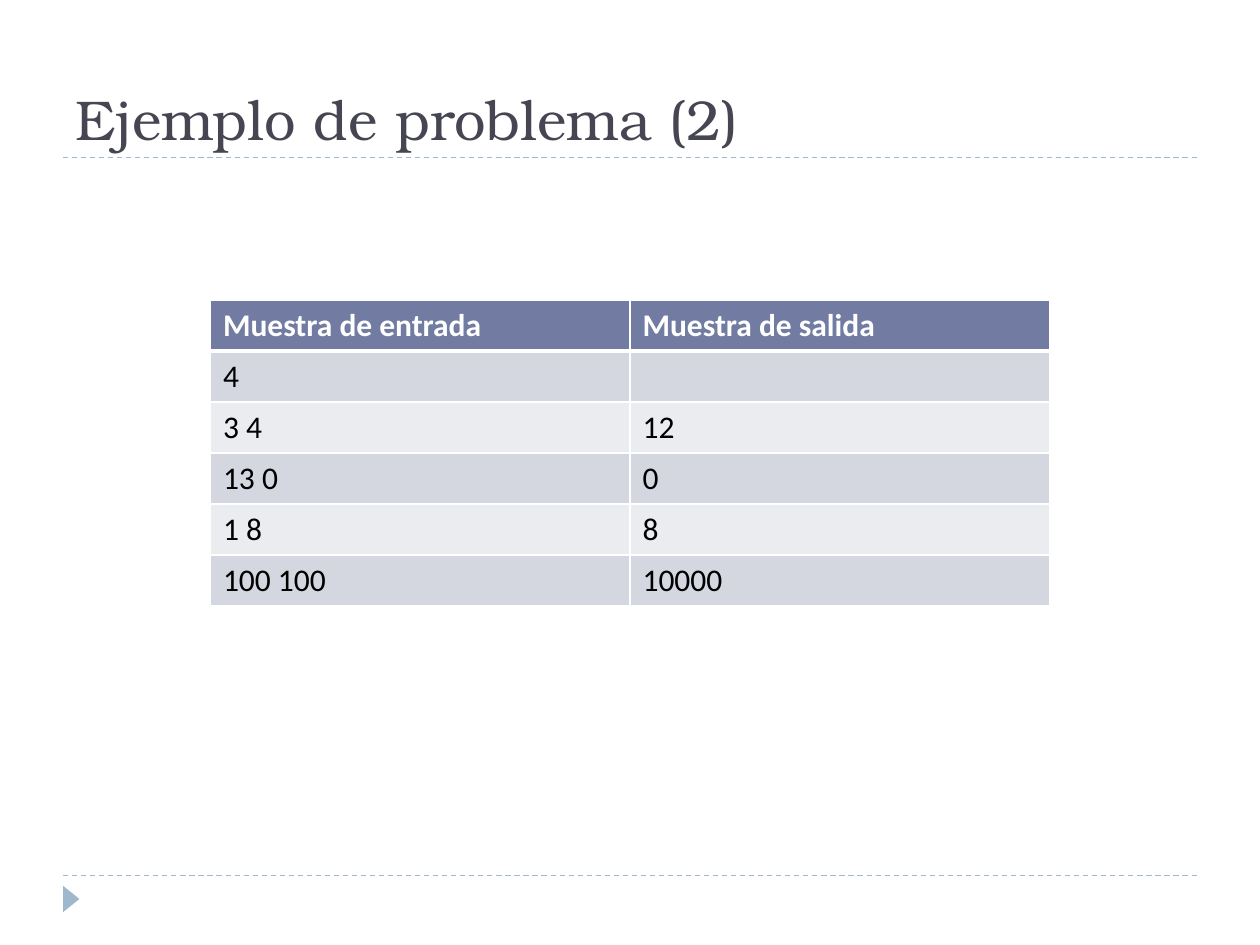
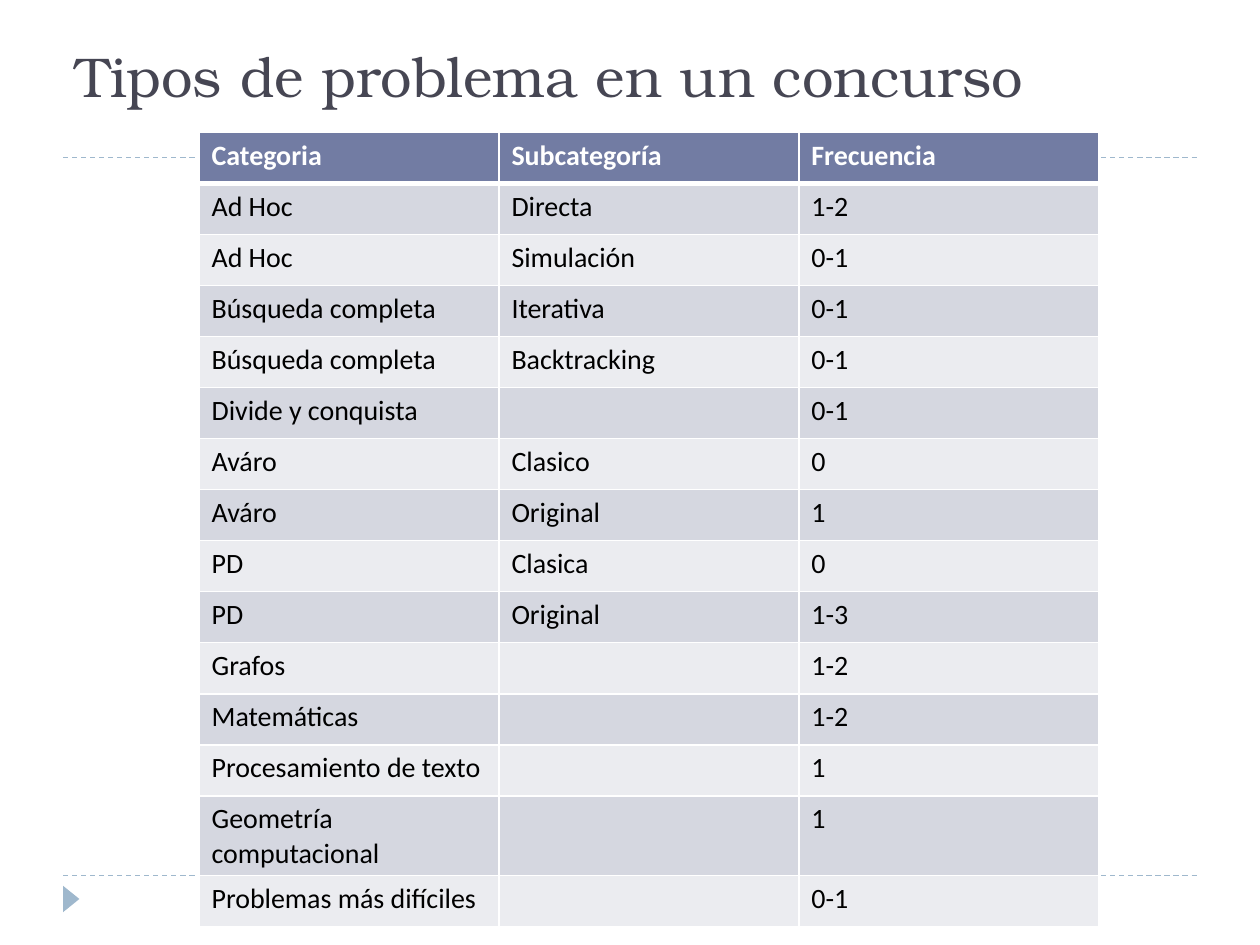
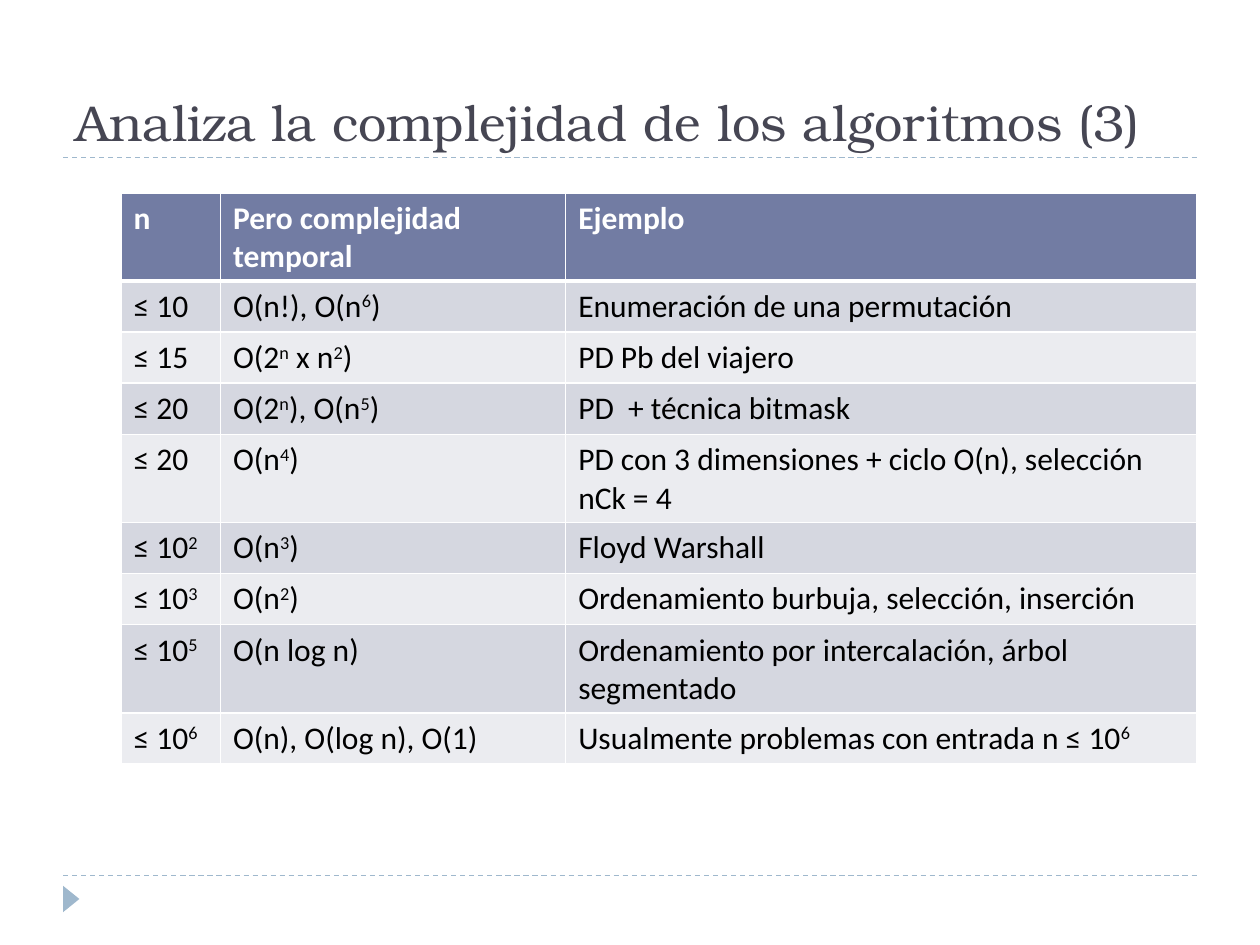
from lxml.etree import SubElement
from pptx import Presentation
from pptx.dml.color import RGBColor
from pptx.enum.dml import MSO_LINE
from pptx.enum.shapes import MSO_CONNECTOR, MSO_SHAPE
from pptx.enum.text import MSO_ANCHOR
from pptx.oxml.ns import qn
from pptx.util import Inches, Pt

INK = RGBColor(0x46, 0x46, 0x53)
ACCENT = RGBColor(0x9F, 0xB8, 0xCD)
HEADER = RGBColor(0x72, 0x7C, 0xA3)
BAND_DARK = RGBColor(0xD5, 0xD7, 0xE0)
BAND_LIGHT = RGBColor(0xEB, 0xEC, 0xF0)
WHITE = RGBColor(0xFF, 0xFF, 0xFF)
BLACK = RGBColor(0x00, 0x00, 0x00)

TITLE_FORMAT = {"name": "TeX Gyre Bonum", "size": Pt(32)}
HEAD_FORMAT = {"name": "Calibri", "size": Pt(18), "bold": True}
BODY_FORMAT = {"name": "Calibri", "size": Pt(18), "bold": False}

SAMPLES = [
    ["Muestra de entrada", "Muestra de salida"],
    ["4", ""],
    ["3 4", "12"],
    ["13 0", "0"],
    ["1 8", "8"],
    ["100 100", "10000"],
]
CATEGORIES = [
    ["Categoria", "Subcategoría", "Frecuencia"],
    ["Ad Hoc", "Directa", "1-2"],
    ["Ad Hoc", "Simulación", "0-1"],
    ["Búsqueda completa", "Iterativa", "0-1"],
    ["Búsqueda completa", "Backtracking", "0-1"],
    ["Divide y conquista", "", "0-1"],
    ["Aváro", "Clasico", "0"],
    ["Aváro", "Original", "1"],
    ["PD", "Clasica", "0"],
    ["PD", "Original", "1-3"],
    ["Grafos", "", "1-2"],
    ["Matemáticas", "", "1-2"],
    ["Procesamiento de texto", "", "1"],
    ["Geometría computacional", "", "1"],
    ["Problemas más difíciles", "", "0-1"],
]
COMPLEXITIES = [
    ["n", "Pero complejidad temporal", "Ejemplo"],
    ["≤ 10", "O(n!), O(n^6^)", "Enumeración de una permutación"],
    ["≤ 15", "O(2^n^ x n^2^)", "PD Pb del viajero"],
    ["≤ 20", "O(2^n^), O(n^5^)", "PD  + técnica bitmask"],
    ["≤ 20", "O(n^4^)", "PD con 3 dimensiones + ciclo O(n), selección nCk = 4"],
    ["≤ 10^2^", "O(n^3^)", "Floyd Warshall"],
    ["≤ 10^3^", "O(n^2^)", "Ordenamiento burbuja, selección, inserción"],
    ["≤ 10^5^", "O(n log n)", "Ordenamiento por intercalación, árbol segmentado"],
    ["≤ 10^6^", "O(n), O(log n), O(1)", "Usualmente problemas con entrada n ≤ 10^6^"],
]


class Deck:
    """Builds slides with a shared frame, title style and banded tables."""

    def __init__(self):
        self.prs = Presentation()
        self.prs.slide_width, self.prs.slide_height = Inches(10), Inches(7.5)
        self.s = None

    def slide(self):
        self.s = self.prs.slides.add_slide(self.prs.slide_layouts[6])
        for y in (6.95, 1.25):
            self.rule(y)
        self.marker()

    def rule(self, y):
        line = self.s.shapes.add_connector(
            MSO_CONNECTOR.STRAIGHT, Inches(0.5), Inches(y), Inches(9.5), Inches(y))
        line.line.color.rgb = ACCENT
        line.line.width = Pt(0.75)
        line.line.dash_style = MSO_LINE.DASH
        SubElement(line._element.spPr, qn("a:effectLst"))

    def marker(self):
        sp = self.s.shapes.add_shape(
            MSO_SHAPE.ISOSCELES_TRIANGLE, Inches(0.46), Inches(7.07), Inches(0.21), Inches(0.13))
        sp.rotation = 90
        sp.shadow.inherit = False
        sp.fill.solid()
        sp.fill.fore_color.rgb = ACCENT
        sp.line.fill.background()

    def add_text(self, p, text, color, formats):
        for i, part in enumerate(text.split("^")):
            if part:
                r = p.add_run()
                r.text = part
                r.font.color.rgb = color
                for key, value in formats.items():
                    setattr(r.font, key, value)
                if i % 2:
                    r.font._element.set("baseline", "30000")

    def title(self, text, top=0.25, height=1, **formats):
        tf = self.s.shapes.add_textbox(
            Inches(0.5), Inches(top), Inches(9), Inches(height)).text_frame
        tf.word_wrap = True
        tf.vertical_anchor = MSO_ANCHOR.BOTTOM
        self.add_text(tf.paragraphs[0], text, INK, TITLE_FORMAT | formats)

    def borders(self, cell, top, bottom):
        tcPr = cell._tc.get_or_add_tcPr()
        for side, width in {"L": 1, "R": 1, "T": top, "B": bottom}.items():
            ln = SubElement(tcPr, qn(f"a:ln{side}"), w=str(Pt(width)))
            fill = SubElement(ln, qn("a:solidFill"))
            SubElement(fill, qn("a:srgbClr"), val=str(WHITE))

    def table(self, rows, left, top, widths, height, **formats):
        table = self.s.shapes.add_table(
            len(rows), len(widths), Inches(left), Inches(top),
            Inches(sum(widths)), Inches(height)).table
        for column, width in zip(table.columns, widths):
            column.width = Inches(width)
        for i, row in enumerate(rows):
            if i == 0:
                fill, color, style = HEADER, WHITE, HEAD_FORMAT
            else:
                fill = BAND_DARK if i % 2 else BAND_LIGHT
                color, style = BLACK, BODY_FORMAT
            for j, text in enumerate(row):
                cell = table.cell(i, j)
                self.borders(cell, 3 if i == 1 else 1, 3 if i == 0 else 1)
                cell.fill.solid()
                cell.fill.fore_color.rgb = fill
                self.add_text(cell.text_frame.paragraphs[0], text, color, style | formats)


def main():
    deck = Deck()

    deck.slide()
    deck.title("Ejemplo de problema (2)")
    deck.table(SAMPLES, 1.67, 2.38, [3.33] * 2, 2.43)

    deck.slide()
    deck.title("Tipos de problema en un concurso", top=0.2, height=0.71)
    deck.table(CATEGORIES, 1.58, 1.05, [2.38] * 3, 6.08, size=Pt(16))

    deck.slide()
    deck.title("Analiza la complejidad de los algoritmos (3)", size=Pt(28.8))
    deck.table(COMPLEXITIES, 0.96, 1.53, [0.79, 2.74, 5.01], 3.65)

    deck.prs.save("out.pptx")


if __name__ == "__main__":
    main()
